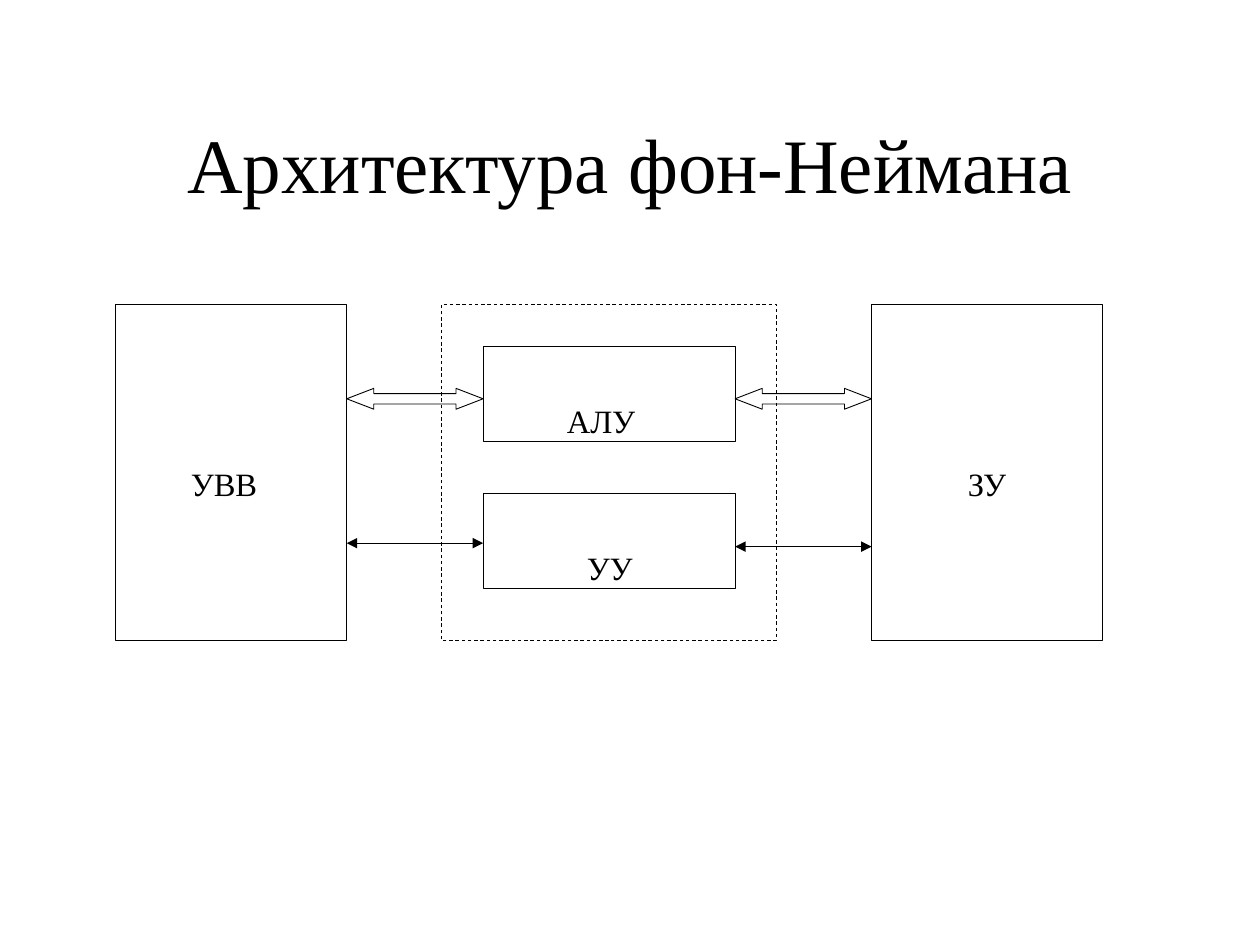
from lxml.etree import SubElement
from pptx import Presentation
from pptx.dml.color import RGBColor
from pptx.enum.dml import MSO_LINE
from pptx.enum.shapes import MSO_CONNECTOR, MSO_SHAPE
from pptx.enum.text import MSO_ANCHOR, PP_ALIGN
from pptx.oxml.ns import qn
from pptx.util import Cm, Pt

COLORS = {"ink": "000000"}


class DiagramSlide:
    """Holds the style and the current slide, and draws each kind of element."""

    font_format = {"name": "Times New Roman", "bold": False}
    line_width = Pt(0.5)

    def __init__(self, presentation):
        self.slide = presentation.slides.add_slide(presentation.slide_layouts[6])
        self.ink = RGBColor.from_string(COLORS["ink"])

    def apply(self, target, values):
        for name, value in values.items():
            setattr(target, name, value)

    def outline(self, shape, dash=None):
        shape.line.color.rgb = self.ink
        self.apply(shape.line, {"width": self.line_width, "dash_style": dash})

    def text(self, box, wording, size, baseline=0, wrap=True,
             anchor=MSO_ANCHOR.TOP, align=PP_ALIGN.LEFT):
        frame = self.slide.shapes.add_textbox(*map(Cm, box)).text_frame
        self.apply(frame, {"word_wrap": wrap, "vertical_anchor": anchor})
        paragraph = frame.paragraphs[0]
        paragraph.alignment = align
        run = paragraph.add_run()
        run.text = wording
        self.apply(run.font, {**self.font_format, "size": Pt(size)})
        run.font.color.rgb = self.ink
        if baseline:
            run._r.get_or_add_rPr().set("baseline", str(baseline * 1000))

    def label(self, box, wording, wrap=True):
        self.text(box, wording, 32, baseline=-25, wrap=wrap)

    def shape(self, kind, box, dash=None, adjustments=()):
        shape = self.slide.shapes.add_shape(kind, *map(Cm, box))
        shape.shadow.inherit = False
        shape.fill.background()
        self.outline(shape, dash)
        for index, value in enumerate(adjustments):
            shape.adjustments[index] = value

    def block(self, box, dash=None):
        self.shape(MSO_SHAPE.RECTANGLE, box, dash)

    def data_arrow(self, box):
        self.shape(MSO_SHAPE.LEFT_RIGHT_ARROW, box, adjustments=(0.5, 1.3))

    def control_arrow(self, start, end, top):
        connector = self.slide.shapes.add_connector(
            MSO_CONNECTOR.STRAIGHT, Cm(start), Cm(top), Cm(end), Cm(top))
        self.outline(connector)
        for tag in ("a:headEnd", "a:tailEnd"):
            SubElement(connector.line._get_or_add_ln(), qn(tag), type="triangle")
        SubElement(connector._element.spPr, qn("a:effectLst"))


def main():
    presentation = Presentation()
    presentation.slide_width, presentation.slide_height = Cm(25.4), Cm(19.05)
    diagram = DiagramSlide(presentation)
    diagram.text((1.91, 1.69, 21.59, 3.18), "Архитектура фон-Неймана", 44,
                 anchor=MSO_ANCHOR.MIDDLE, align=PP_ALIGN.CENTER)

    top, height = 6.14, 6.77
    device_left, memory_left, device_width = 2.33, 17.57, 4.66
    unit_left, unit_width, unit_height = 9.74, 5.08, 1.91

    diagram.block((device_left, top, device_width, height))
    diagram.label((3.6, 8.47, 2.54, 2.48), "УВВ")
    diagram.block((8.89, top, height, height), MSO_LINE.DASH)
    diagram.block((memory_left, top, device_width, height))
    diagram.label((19.26, 8.47, 2.33, 2.48), "ЗУ")

    units = [
        (6.99, (11.18, 7.2, 2.31, 1.16), "АЛУ", True),
        (9.95, (11.58, 10.16, 1.55, 1.15), "УУ", False),
    ]
    for unit_top, label_box, wording, wrap in units:
        diagram.block((unit_left, unit_top, unit_width, unit_height))
        diagram.label(label_box, wording, wrap)

    links = [
        (device_left + device_width, unit_left, 10.95),
        (unit_left + unit_width, memory_left, 11.02),
    ]
    for start, end, _ in links:
        diagram.data_arrow((start, 7.83, end - start, 0.42))
    for start, end, control_top in links:
        diagram.control_arrow(start, end, control_top)

    presentation.save("out.pptx")


if __name__ == "__main__":
    main()
